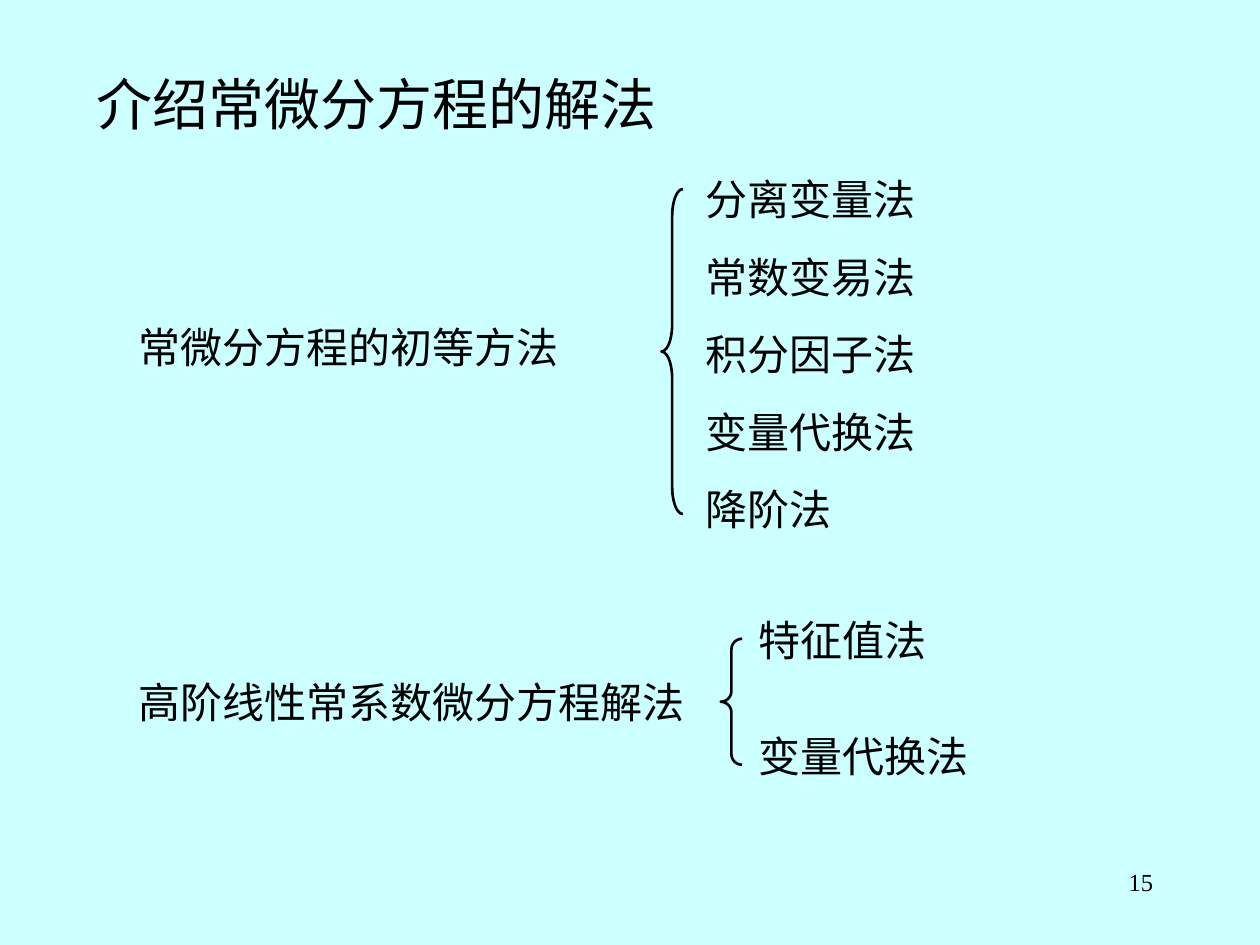
import pptx
import pptx.dml.color
import pptx.enum.lang
import pptx.enum.shapes
import pptx.enum.text
import pptx.util

Inches = pptx.util.Inches
BLACK = pptx.dml.color.RGBColor(0x00, 0x00, 0x00)
PALE_CYAN = pptx.dml.color.RGBColor(0xCC, 0xFF, 0xFF)
FONT = "Times New Roman"
LINE_HEIGHT = 0.5
BRACE_WIDTH = 0.17

TITLE = "介绍常微分方程的解法"
PAGE_NUMBER = "15"
GROUPS = [
    {
        "topic": "常微分方程的初等方法",
        "topic_at": (1, 2.5, 4.58),
        "methods": ["分离变量法", "常数变易法", "积分因子法", "变量代换法", "降阶法"],
        "methods_at": (5.5, 1.33),
        "step": 0.615,
        "brace": (5.25, 1.5, 2.58),
    },
    {
        "topic": "高阶线性常系数微分方程解法",
        "topic_at": (1, 5.32, 4.92),
        "methods": ["特征值法", "变量代换法"],
        "methods_at": (5.92, 4.83),
        "step": 0.92,
        "brace": (5.72, 5.07, 1),
    },
]


def add_text(page, text, left, top, width, height=LINE_HEIGHT, size=24,
             align=pptx.enum.text.PP_ALIGN.LEFT):
    box = page.shapes.add_textbox(Inches(left), Inches(top), Inches(width), Inches(height))
    box.text_frame.word_wrap = True
    para = box.text_frame.paragraphs[0]
    para.alignment = align
    span = para.add_run()
    span.text = text
    span.font.name = FONT
    span.font.size = pptx.util.Pt(size)
    span.font.color.rgb = BLACK
    span.font.language_id = pptx.enum.lang.MSO_LANGUAGE_ID.SIMPLIFIED_CHINESE


def add_brace(page, left, top, height):
    brace = page.shapes.add_shape(
        pptx.enum.shapes.MSO_SHAPE.LEFT_BRACE,
        Inches(left), Inches(top), Inches(BRACE_WIDTH), Inches(height))
    brace.adjustments[0] = height / 12 / BRACE_WIDTH
    brace.shadow.inherit = False
    brace.fill.background()
    brace.line.color.rgb = BLACK
    brace.line.width = pptx.util.Pt(1.5)


def main():
    deck = pptx.Presentation()
    deck.slide_width = Inches(10)
    deck.slide_height = Inches(7.5)
    page = deck.slides.add_slide(deck.slide_layouts[6])
    page.background.fill.solid()
    page.background.fill.fore_color.rgb = PALE_CYAN

    add_text(page, TITLE, 0.67, 0.5, 5.67, 0.64, size=32)
    for group in GROUPS:
        add_text(page, group["topic"], *group["topic_at"])
        left, top = group["methods_at"]
        for index, method in enumerate(group["methods"]):
            add_text(page, method, left, top + index * group["step"], 2.5)
        add_brace(page, *group["brace"])
    add_text(page, PAGE_NUMBER, 7.17, 6.83, 2.08, size=14,
             align=pptx.enum.text.PP_ALIGN.RIGHT)
    deck.save("out.pptx")


if __name__ == "__main__":
    main()
